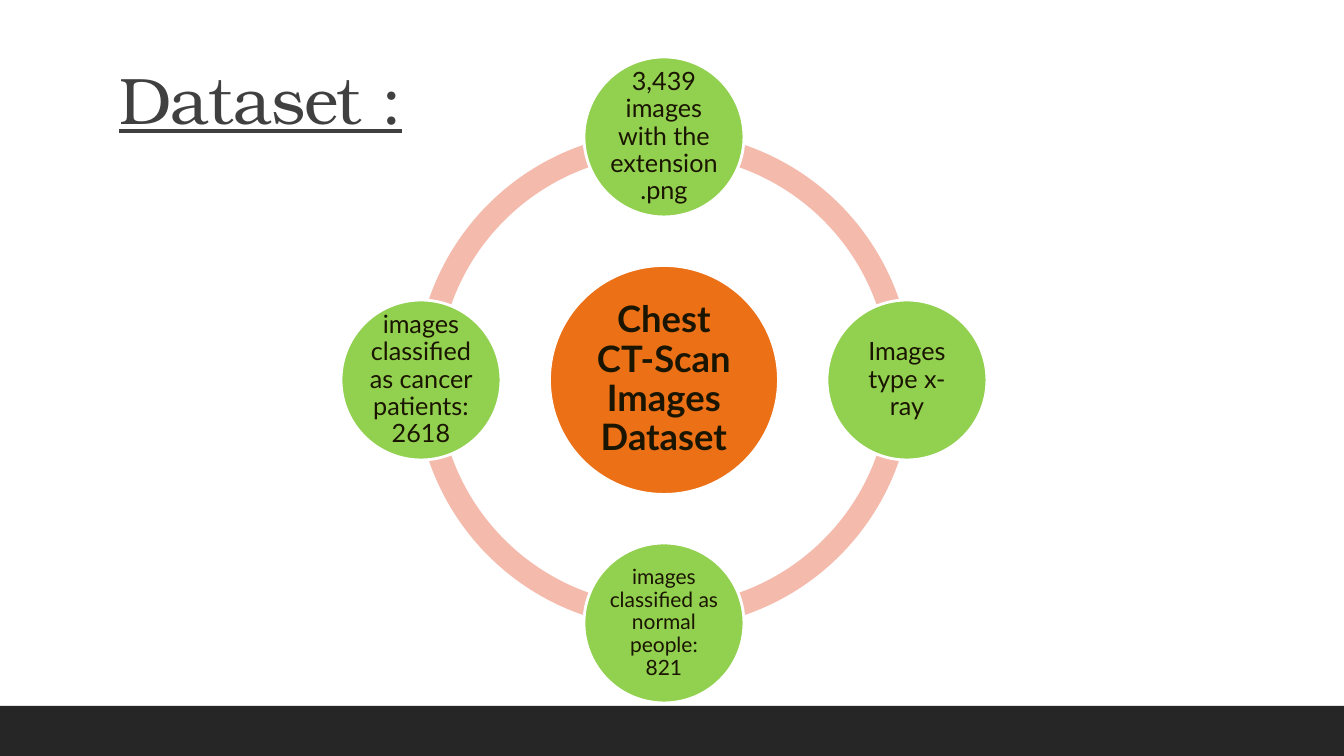
"""Build the dataset slide: a ring of four facts around a central topic."""
from dataclasses import dataclass
import math

from pptx import Presentation
from pptx import util as u
from pptx.dml.color import RGBColor
from pptx.enum import shapes, text


@dataclass(frozen=True)
class Theme:
    body_font: str = "Lato"
    title_font: str = "TeX Gyre Bonum"
    white: str = "FFFFFF"
    bar: str = "262626"
    ring: str = "F4BBAC"
    hub: str = "EC7016"
    node: str = "92D050"
    ink: str = "1A1500"
    title_ink: str = "404040"
    title_size: int = 47
    hub_size: int = 26
    node_size: int = 18
    small_size: int = 15


def px(n):
    return u.Emu(round(n * 12192000 / 1344))


def set_all(obj, values):
    for name, value in values.items():
        setattr(obj, name, value)


class Deck:
    def __init__(self, theme):
        self.theme = theme
        self.prs = Presentation()
        set_all(self.prs, {"slide_width": px(1344), "slide_height": px(756)})
        self.s = self.prs.slides.add_slide(self.prs.slide_layouts[5])

    def label(self, sp, words, inset, para, font, color):
        tf = sp.text_frame
        frame = {f"margin_{side}": px(inset) for side in ("left", "right", "top", "bottom")}
        frame.update(word_wrap=True, auto_size=text.MSO_AUTO_SIZE.NONE,
                     vertical_anchor=text.MSO_ANCHOR.MIDDLE)
        set_all(tf, frame)
        tf.text = words
        p = tf.paragraphs[0]
        set_all(p, para)
        for r in p.runs:
            set_all(r.font, font)
            r.font.color.rgb = RGBColor.from_string(color)
        return p

    def title(self, words, x, y, w, h):
        sp = self.s.shapes.title
        set_all(sp, {"left": px(x), "top": px(y), "width": px(w), "height": px(h)})
        font = {"name": self.theme.title_font, "size": u.Pt(self.theme.title_size),
                "underline": True}
        p = self.label(sp, words, 10, {"alignment": text.PP_ALIGN.LEFT}, font,
                       self.theme.title_ink)
        p.runs[0].font._element.set("spc", "-50")

    def shape(self, kind, x, y, w, h, fill):
        sp = self.s.shapes.add_shape(kind, px(x), px(y), px(w), px(h))
        sp.shadow.inherit = False
        sp.fill.solid()
        sp.fill.fore_color.rgb = RGBColor.from_string(fill)
        sp.line.fill.background()
        return sp

    def arc(self, cx, cy, d, start, end):
        sp = self.shape(shapes.MSO_SHAPE.BLOCK_ARC, cx - d / 2, cy - d / 2, d, d,
                        self.theme.ring)
        for i, value in enumerate((start * 0.6, end * 0.6, 0.046)):
            sp.adjustments[i] = value

    def circle(self, words, cx, cy, d, fill, size, inset=2, bold=False):
        sp = self.shape(shapes.MSO_SHAPE.OVAL, cx - d / 2, cy - d / 2, d, d, fill)
        sp.line.color.rgb = RGBColor.from_string(self.theme.white)
        sp.line.width = u.Pt(2)
        para = {"alignment": text.PP_ALIGN.CENTER, "line_spacing": 0.9}
        font = {"name": self.theme.body_font, "size": u.Pt(size), "bold": bold}
        self.label(sp, words, inset, para, font, self.theme.ink)


def main():
    theme = Theme()
    deck = Deck(theme)
    deck.shape(shapes.MSO_SHAPE.RECTANGLE, 0, 706, 1344, 50, theme.bar)
    deck.title("Dataset :", 109, 53, 405, 90)

    cx, cy, orbit = 664, 380, 243
    facts = [
        ("3,439 images with the extension .png", theme.node_size),
        ("Images type x-ray", theme.node_size),
        ("images classified as normal people:\v821", theme.small_size),
        ("images classified as cancer patients: 2618", theme.node_size),
    ]
    for start in (180, 90, 0, 270):
        deck.arc(cx, cy, 497, start, (start + 90) % 360)
    deck.circle("Chest CT-Scan Images Dataset", cx, cy, 229, theme.hub,
                theme.hub_size, inset=4, bold=True)
    for i, (words, size) in enumerate(facts):
        turn = math.radians(90 * i - 90)
        deck.circle(words, cx + orbit * math.cos(turn), cy + orbit * math.sin(turn),
                    160, theme.node, size)
    deck.prs.save("out.pptx")


if __name__ == "__main__":
    main()
